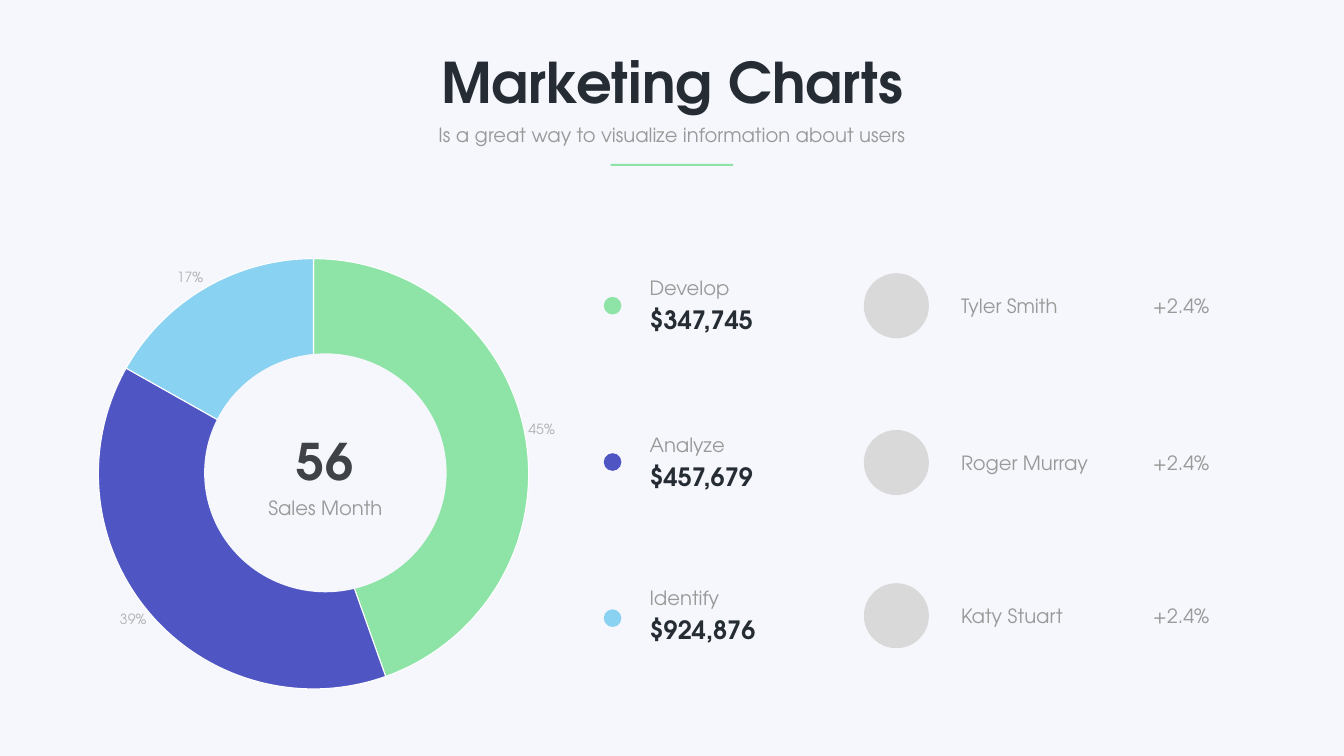
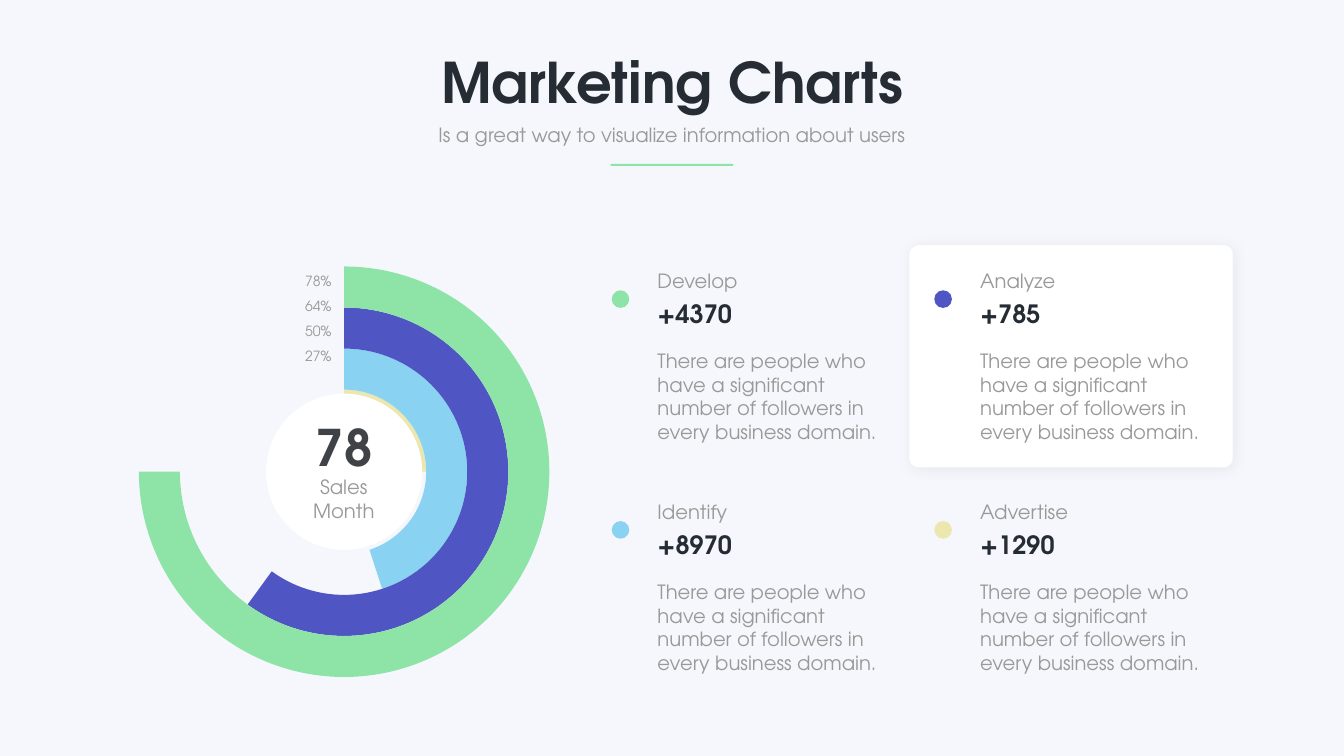
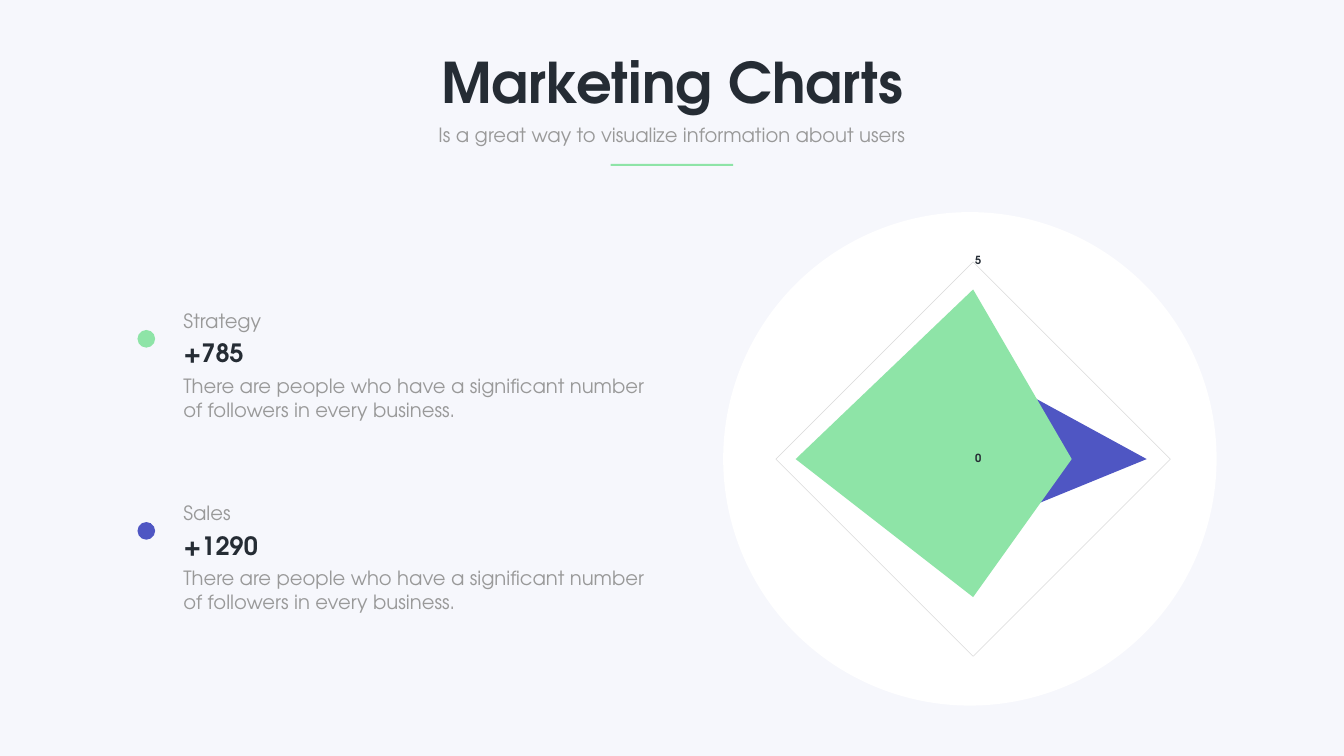
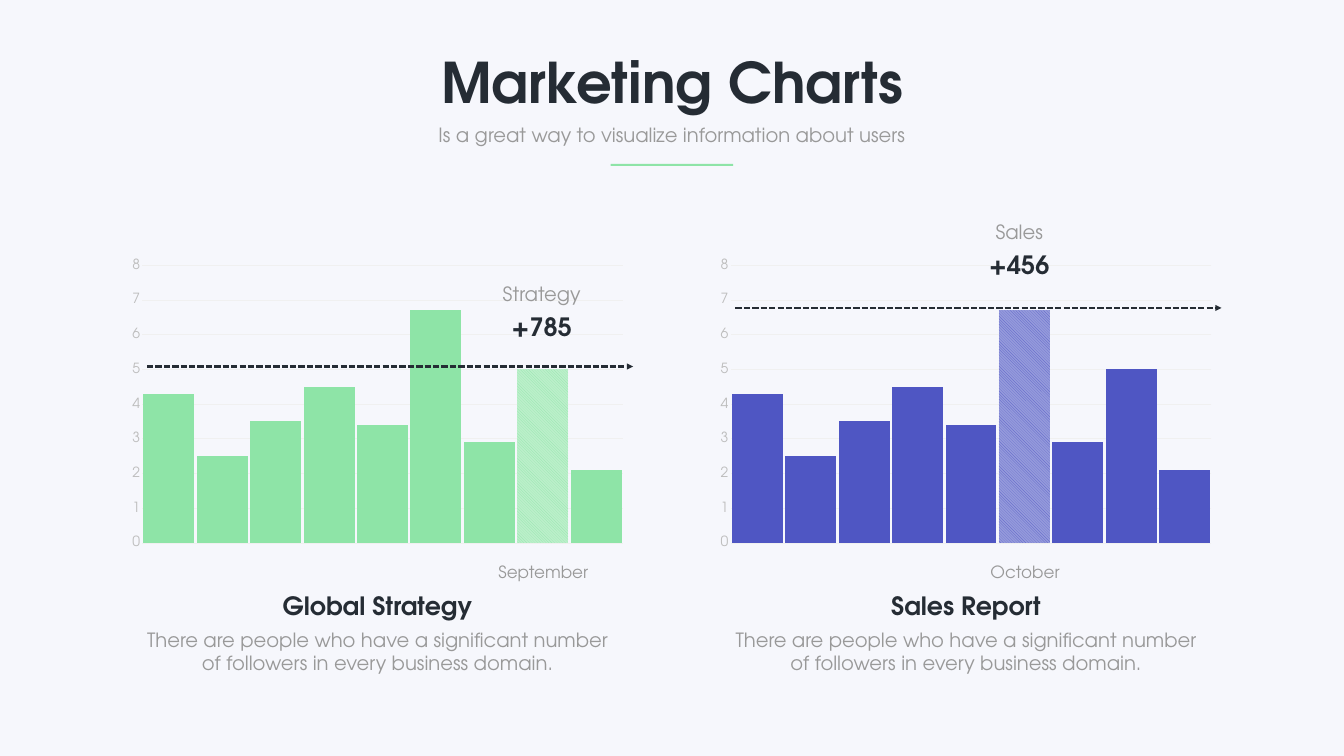
from pptx import Presentation
from pptx.chart import data as cd
from pptx.dml.color import RGBColor
from pptx.enum import chart as ec, dml, shapes, text
from pptx.oxml import parse_xml
from pptx.oxml.ns import nsdecls, qn
from pptx.util import Cm, Pt

FONT = "TeX Gyre Adventor"
GREEN = RGBColor(0x8E, 0xE4, 0xA7)
INDIGO = RGBColor(0x4F, 0x56, 0xC3)
SKY = RGBColor(0x8A, 0xD2, 0xF1)
SAND = RGBColor(0xEC, 0xE7, 0xAE)
PALE_GREEN = RGBColor(0xBB, 0xEF, 0xCA)
PALE_INDIGO = RGBColor(0x95, 0x9A, 0xDB)
DARK = RGBColor(0x25, 0x2C, 0x34)
CHARCOAL = RGBColor(0x3F, 0x43, 0x47)
GRAY = RGBColor(0x99, 0x99, 0x99)
LABEL_GRAY = RGBColor(0xB2, 0xB2, 0xB2)
AXIS_GRAY = RGBColor(0xBD, 0xBD, 0xBD)
AVATAR_GRAY = RGBColor(0xD9, 0xD9, 0xD9)
GRID_GRAY = RGBColor(0xF0, 0xF0, 0xF0)
CARD_EDGE = RGBColor(0xF0, 0xF1, 0xFA)
WHITE = RGBColor(0xFF, 0xFF, 0xFF)
BACKGROUND = RGBColor(0xF6, 0xF7, 0xFC)

LEFT, CENTER, RIGHT = text.PP_ALIGN.LEFT, text.PP_ALIGN.CENTER, text.PP_ALIGN.RIGHT
OVAL = shapes.MSO_SHAPE.OVAL
FOLLOWERS = "There are people who have a significant number of followers in every business"


def set_font(font, size, color, bold=False):
    font.name = FONT
    font.size = Pt(size)
    font.color.rgb = color
    font.bold = bold


def add_text(s, box, string, size=28, color=GRAY, bold=False, align=LEFT):
    tb = s.shapes.add_textbox(*map(Cm, box))
    tf = tb.text_frame
    tf.word_wrap = True
    tf.text = string
    p = tf.paragraphs[0]
    p.alignment = align
    set_font(p.runs[0].font, size, color, bold)
    return tb


def add_shape(s, kind, box, color):
    sp = s.shapes.add_shape(kind, *map(Cm, box))
    sp.shadow.inherit = False
    sp.fill.solid()
    sp.fill.fore_color.rgb = color
    sp.line.fill.background()
    return sp


def add_circle(s, x, y, d, color):
    return add_shape(s, OVAL, (x, y, d, d), color)


def add_metric(s, x, y, label, value, dot=None, dot_dy=1.19, align=LEFT):
    """Small label over a bold figure, with an optional coloured dot to the left."""
    if dot:
        add_circle(s, x - 2.06, y + dot_dy, 0.89, dot)
    add_text(s, (x, y, 8.92, 1.45), label, align=align)
    add_text(s, (x, y + 1.46, 8.92, 1.8), value, 36, DARK, True, align)


def add_hub_text(s, box, string, size, color, bold=False):
    """Text in the middle of a ring chart."""
    tf = add_text(s, box, string, size, color, bold, CENTER).text_frame
    tf.vertical_anchor = text.MSO_ANCHOR.MIDDLE
    tf.margin_left = tf.margin_right = tf.margin_top = tf.margin_bottom = Cm(0.15)


def add_chart(s, kind, box, series, size):
    cdata = cd.CategoryChartData()
    cdata.categories = [str(i + 1) for i in range(len(series[0]))]
    for i, values in enumerate(series, 1):
        cdata.add_series(f"Series {i}", values)
    chart = s.shapes.add_chart(kind, *map(Cm, box), cdata).chart
    chart.has_title = chart.has_legend = False
    set_font(chart.font, size, GRAY)
    return chart


def fill_solid(part, color):
    part.format.fill.solid()
    part.format.fill.fore_color.rgb = color


def format_value_axis(axis, top, step, size, color, grid, bold=False):
    axis.minimum_scale, axis.maximum_scale, axis.major_unit = 0, top, step
    axis.major_tick_mark = axis.minor_tick_mark = ec.XL_TICK_MARK.NONE
    axis.format.line.fill.background()
    set_font(axis.tick_labels.font, size, color, bold)
    format_grid(axis, grid)


def format_grid(axis, color):
    axis.has_major_gridlines = True
    axis.major_gridlines.format.line.color.rgb = color
    axis.major_gridlines.format.line.width = Pt(0.75)


def new_slide(prs):
    """Slide with the shared title, subtitle and rule."""
    s = prs.slides.add_slide(prs.slide_layouts[5])
    title = s.shapes.title
    title.left, title.top, title.width, title.height = map(Cm, (17.48, 2.29, 32.79, 3.68))
    tf = title.text_frame
    tf.text = "Marketing Charts"
    tf.auto_size = text.MSO_AUTO_SIZE.NONE
    tf.vertical_anchor = text.MSO_ANCHOR.TOP
    tf.paragraphs[0].alignment = CENTER
    set_font(tf.paragraphs[0].runs[0].font, 80, DARK, True)
    add_text(s, (21.72, 6.05, 24.28, 1.45),
             "Is a great way to visualize information about users", align=CENTER)
    add_shape(s, shapes.MSO_SHAPE.RECTANGLE, (30.78, 8.26, 6.17, 0.1), GREEN)
    return s


def add_pie(s, x, y):
    chart = add_chart(s, ec.XL_CHART_TYPE.PIE, (x, y, 32.23, 22.5), [(45, 39, 17)], 18)
    plot = chart.plots[0]
    for i, color in enumerate((GREEN, INDIGO, SKY)):
        point = plot.series[0].points[i]
        fill_solid(point, color)
        point.format.line.color.rgb = WHITE
        point.format.line.width = Pt(1.5)
    plot.has_data_labels = True
    labels = plot.data_labels
    labels.show_percentage, labels.show_value = True, False
    labels.number_format, labels.number_format_is_linked = "0%", False
    labels.position = ec.XL_LABEL_POSITION.OUTSIDE_END
    set_font(labels.font, 20, LABEL_GRAY)
    add_shape(s, OVAL, (x + 10.04, y + 5.24, 12.22, 12.04), BACKGROUND)
    add_hub_text(s, (x + 11.59, y + 12.3, 9.12, 1.47), "Sales Month", 28, GRAY)
    add_hub_text(s, (x + 12.4, y + 8.94, 7.47, 3.35), "56", 72, CHARCOAL, True)


def add_person_row(s, x, y, label, value, person, color, dot_dy):
    add_metric(s, x, y, label, value, color, dot_dy)
    add_circle(s, x + 11.05, y, 3.28, AVATAR_GRAY)
    add_text(s, (x + 25.37, y + 0.92, 3.86, 1.45), "+2.4%")
    add_text(s, (x + 15.7, y + 0.92, 6.99, 1.45), person)


def pie_slide(prs):
    s = new_slide(prs)
    add_pie(s, 0.25, 12.57)
    for y, label, value, person, color, dot_dy in (
            (13.77, "Develop", "$347,745", "Tyler Smith", GREEN, 1.19),
            (21.67, "Analyze", "$457,679", "Roger Murray", INDIGO, 1.17),
            (29.39, "Identify", "$924,876", "Katy Stuart", SKY, 1.32)):
        add_person_row(s, 32.49, y, label, value, person, color, dot_dy)


def add_rings(s, x, y):
    shares = (25, 45, 60, 75)
    chart = add_chart(s, ec.XL_CHART_TYPE.DOUGHNUT, (x, y, 24.59, 21.39),
                      [(v, 100 - v) for v in shares], 18)
    for series, color in zip(chart.plots[0].series, (SAND, SKY, INDIGO, GREEN)):
        fill_solid(series.points[0], color)
        series.points[1].format.fill.background()
        for i in range(2):
            series.points[i].format.line.fill.background()
    for i, label in enumerate(("78%", "64%", "50%", "27%")):
        add_text(s, (x + 9.12, y + 0.53 + 1.26 * i, 2.79, 1.12), label, 20, align=RIGHT)
    add_circle(s, x + 8.36, y + 6.76, 7.87, WHITE)
    add_hub_text(s, (x + 10.16, y + 10.72, 4.24, 2.67), "Sales Month", 28, GRAY)
    add_hub_text(s, (x + 8.56, y + 7.72, 7.47, 3.35), "78", 72, CHARCOAL, True)


def add_card(s, box):
    card = add_shape(s, shapes.MSO_SHAPE.ROUNDED_RECTANGLE, box, WHITE)
    card.adjustments[0] = 0.04
    card.line.color.rgb = CARD_EDGE
    card.line.width = Pt(1)
    effects = card._element.spPr.find(qn("a:effectLst"))
    effects.append(parse_xml(
        f'<a:outerShdw {nsdecls("a")} blurRad="{Pt(20)}" dist="{Pt(3)}" dir="2700000" '
        'algn="tl" rotWithShape="0"><a:srgbClr val="000000"><a:alpha val="5000"/>'
        '</a:srgbClr></a:outerShdw>'))


def rings_slide(prs):
    s = new_slide(prs)
    add_card(s, (45.82, 12.34, 16.33, 11.23))
    add_rings(s, 5.05, 13.08)
    metrics = (("Develop", "+4370", GREEN), ("Identify", "+8970", SKY),
               ("Analyze", "+785", INDIGO), ("Advertise", "+1290", SAND))
    for i, (label, value, color) in enumerate(metrics):
        col, row = divmod(i, 2)
        x, y = 32.89 + 16.26 * col, 13.44 + 11.63 * row
        add_metric(s, x, y, label, value, color)
        add_text(s, (x, y + 4.04, 11.76, 5.05), FOLLOWERS + " domain.")


def add_radar(s, x, y):
    add_circle(s, x + 6, y - 0.87, 24.87, WHITE)
    chart = add_chart(s, ec.XL_CHART_TYPE.RADAR_FILLED, (x, y, 36.83, 23.39),
                      [(4.3, 2.5, 3.5, 4.5), (2.4, 4.4, 1.8, 2.8)], 11)
    for series, color in zip(chart.plots[0].series, (GREEN, INDIGO)):
        fill_solid(series, color)
        series.format.line.fill.background()
    format_grid(chart.category_axis, GRID_GRAY)
    chart.category_axis.visible = False
    format_value_axis(chart.value_axis, 5, 5, 16, DARK, AVATAR_GRAY, True)
    chart.value_axis.tick_labels.number_format = "0"
    chart.value_axis.tick_labels.number_format_is_linked = False
    area = chart._chartSpace.chart.plotArea
    for layout in area.findall(qn("c:layout")):
        area.remove(layout)
    sizes = (("x", 0.2), ("y", 0.07), ("w", 0.61), ("h", 0.85))
    area.insert(0, parse_xml(
        f'<c:layout {nsdecls("c")}><c:manualLayout><c:layoutTarget val="inner"/>'
        '<c:xMode val="edge"/><c:yMode val="edge"/>'
        + "".join(f'<c:{k} val="{v}"/>' for k, v in sizes)
        + '</c:manualLayout></c:layout>'))


def radar_slide(prs):
    s = new_slide(prs)
    add_radar(s, 30.45, 11.56)
    metrics = (("Strategy", "+785", GREEN), ("Sales", "+1290", INDIGO))
    for i, (label, value, color) in enumerate(metrics):
        x, y = 8.99, 15.44 + 9.68 * i
        add_metric(s, x, y, label, value, color)
        add_text(s, (x, y + 3.28, 24.87, 2.64), FOLLOWERS + ".")


def add_arrow(s, x1, x2, y):
    line = s.shapes.add_connector(shapes.MSO_CONNECTOR.STRAIGHT, Cm(x1), Cm(y), Cm(x2), Cm(y))
    line.line.color.rgb = DARK
    line.line.width = Pt(3)
    line.line.dash_style = dml.MSO_LINE.SQUARE_DOT
    spPr = line._element.spPr
    spPr.find(qn("a:ln")).append(parse_xml(f'<a:tailEnd {nsdecls("a")} type="triangle"/>'))
    spPr.append(parse_xml(f'<a:effectLst {nsdecls("a")}/>'))


def add_column_panel(s, x, y, color, pale, marked, month, heading, metric, metric_at, arrow_y):
    """Column chart with one hatched bar, its month, a target arrow and a caption."""
    chart = add_chart(s, ec.XL_CHART_TYPE.COLUMN_STACKED, (x, y, 25.76, 15.27),
                      [(4.3, 2.5, 3.5, 4.5, 3.4, 6.7, 2.9, 5, 2.1)], 20)
    plot = chart.plots[0]
    plot.gap_width, plot.overlap, plot.vary_by_categories = 5, -100, False
    fill_solid(plot.series[0], color)
    hatch = plot.series[0].points[marked].format.fill
    hatch.patterned()
    hatch.pattern = dml.MSO_PATTERN.WIDE_DOWNWARD_DIAGONAL
    hatch.fore_color.rgb, hatch.back_color.rgb = color, pale
    chart.category_axis.visible = False
    format_value_axis(chart.value_axis, 8, 1, 20, AXIS_GRAY, GRID_GRAY)

    bar_center = x + 1.06 + 2.69 * (marked + 0.5)
    tb = add_text(s, (bar_center - 3.43, y + 15.01, 6.86, 1.55), month, 24, align=CENTER)
    tb.text_frame.paragraphs[0].line_spacing = Pt(40.8)
    add_arrow(s, x + 1.26, x + 25.76, y + arrow_y)
    add_text(s, (x + 0.72, y + 18.77, 24.31, 2.64), FOLLOWERS + " domain.", align=CENTER)
    add_text(s, (x + 0.72, y + 16.89, 24.31, 1.8), heading, 36, DARK, True, CENTER)
    dx, dy = metric_at
    add_metric(s, x + dx, y + dy, *metric, align=CENTER)


def columns_slide(prs):
    s = new_slide(prs)
    add_column_panel(s, 6.15, 12.73, GREEN, PALE_GREEN, 7, "September", "Global Strategy",
                     ("Strategy", "+785"), (16.69, 1.37), 5.74)
    add_column_panel(s, 35.81, 12.73, INDIGO, PALE_INDIGO, 5, "October", "Sales Report",
                     ("Sales", "+456"), (11.1, -1.76), 2.79)


def main():
    prs = Presentation()
    prs.slide_width, prs.slide_height = Cm(67.74), Cm(38.1)
    fill = prs.slide_master.background.fill
    fill.solid()
    fill.fore_color.rgb = BACKGROUND
    for build in (pie_slide, rings_slide, radar_slide, columns_slide):
        build(prs)
    prs.save("out.pptx")


if __name__ == "__main__":
    main()
